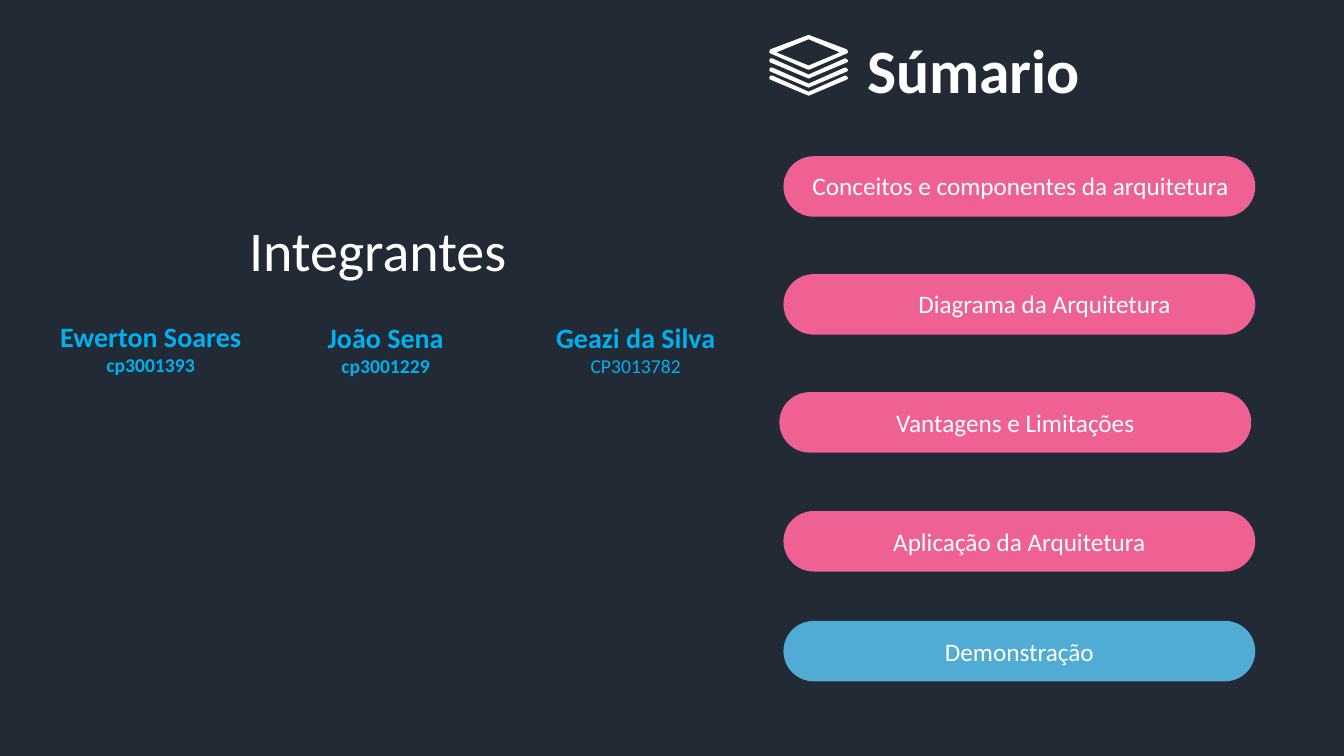
from pptx import Presentation
from pptx.dml.color import RGBColor
from pptx.enum.shapes import MSO_SHAPE
from pptx.enum.text import MSO_ANCHOR, MSO_AUTO_SIZE, PP_ALIGN
from pptx.util import Inches, Pt

PILL = MSO_SHAPE.ROUNDED_RECTANGLE
TOP, MIDDLE = MSO_ANCHOR.TOP, MSO_ANCHOR.MIDDLE
LEFT, CENTER = PP_ALIGN.LEFT, PP_ALIGN.CENTER
FIXED = MSO_AUTO_SIZE.NONE
COLORS = {"back": "222A35", "white": "FFFFFF", "name": "00B0F0",
          "pink": "EF6192", "blue": "50ABD5"}


def write(shape, text, size=18, color="white", bold=False, align=CENTER,
          anchor=MIDDLE, wrap=True):
    """Fill the first paragraph, or add one below the text already there."""
    frame = shape.text_frame
    frame.auto_size = FIXED
    frame.word_wrap = wrap
    frame.vertical_anchor = anchor
    para = frame.add_paragraph() if frame.text else frame.paragraphs[0]
    para.alignment = align
    run = para.add_run()
    run.text = text
    run.font.name = "Calibri"
    run.font.size = Pt(size)
    run.font.bold = bold
    run.font.color.rgb = RGBColor.from_string(COLORS[color])


def paint(shape, color):
    shape.fill.solid()
    shape.fill.fore_color.rgb = RGBColor.from_string(COLORS[color])
    shape.line.fill.background()
    shape.shadow.inherit = False


prs = Presentation()
prs.slide_width, prs.slide_height = Inches(13.33), Inches(7.5)
slide = prs.slides.add_slide(prs.slide_layouts[5])
shapes = slide.shapes
slide.background.fill.solid()
slide.background.fill.fore_color.rgb = RGBColor.from_string(COLORS["back"])

# Title
title = shapes.title
title.left, title.top = Inches(8.5), Inches(0.27)
title.width, title.height = Inches(2.33), Inches(1.58)
write(title, "Súmario", size=44, bold=True, align=LEFT, anchor=TOP, wrap=False)

# Layers icon in hundredths of an inch: a hollow diamond over three chevrons
rim = [(802, 35), (803, 35), (840, 49), (841, 51), (841, 52), (840, 53),
       (803, 69), (801, 69), (764, 53), (763, 52), (763, 51), (764, 49), (801, 35)]
hole = [(802, 39), (770, 52), (802, 65), (833, 52)]
bend = [(765, 0), (766, 0), (802, 16), (838, 0), (839, 0), (840, 1), (841, 2),
        (841, 3), (840, 4), (802, 20), (764, 4), (763, 3), (763, 2), (764, 0)]
layers = [[rim, hole]]
for top in (58, 67, 75):
    layers.append([[(x, y + top) for x, y in bend]])
for loops in layers:
    pen = shapes.build_freeform(*loops[0][0], scale=Inches(0.01))
    for num, loop in enumerate(loops):
        if num:
            pen.move_to(*loop[0])
        pen.add_line_segments(loop[1:], close=True)
    paint(pen.convert_to_shape(), "white")

# Team heading and members
head = shapes.add_textbox(Inches(1.09), Inches(2.16), Inches(5.31), Inches(0.63))
write(head, "Integrantes", size=40)
team = [("Ewerton Soares", "cp3001393", True, 0.21, 3.12, 2.57, 0.67),
        ("João Sena", "cp3001229", True, 2.6, 3.12, 2.45, 0.69),
        ("Geazi da Silva", "CP3013782", False, 4.72, 3.13, 3.17, 0.67)]
for name, code, bold, *place in team:
    box = shapes.add_textbox(*map(Inches, place))
    write(box, name, size=20, color="name", bold=True)
    write(box, code, size=14, color="name", bold=bold)

# Agenda pills; the first two carry their label in a separate box
agenda = [("Conceitos e componentes da arquitetura", 7.77, 1.55, "pink", 7.96, 4.38),
          ("Diagrama da Arquitetura", 7.77, 2.72, "pink", 9.01, 2.73),
          ("Vantagens e Limitações", 7.73, 3.89, "pink", None, None),
          ("Aplicação da Arquitetura", 7.77, 5.07, "pink", None, None),
          ("Demonstração", 7.77, 6.16, "blue", None, None)]
for text, left, top, color, start, width in agenda:
    pill = shapes.add_shape(PILL, Inches(left), Inches(top), Inches(4.68), Inches(0.6))
    pill.adjustments[0] = 0.5
    paint(pill, color)
    if start is None:
        write(pill, text)
    else:
        label = shapes.add_textbox(Inches(start), Inches(top + 0.09),
                                   Inches(width), Inches(0.74))
        write(label, text, align=LEFT, anchor=TOP, wrap=False)

prs.save("out.pptx")
